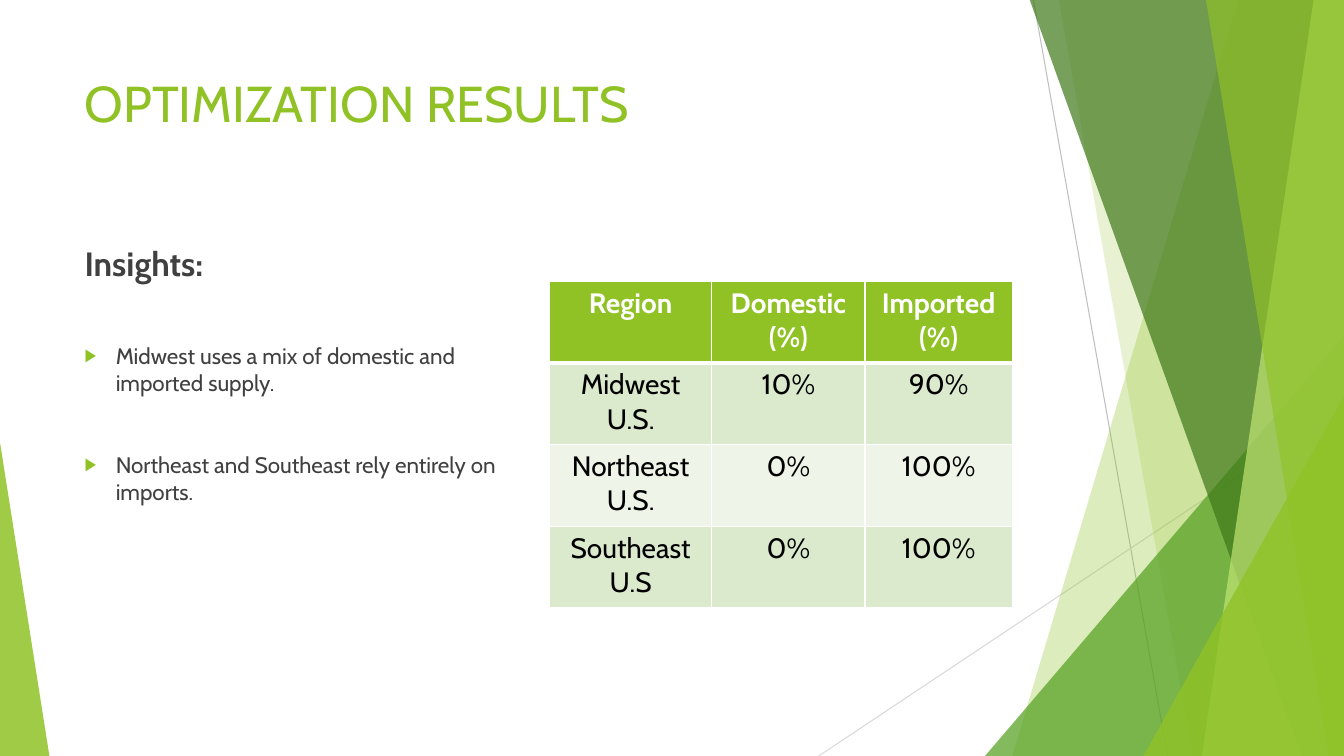
from lxml import etree
from pptx import Presentation
from pptx.dml.color import RGBColor
from pptx.enum import shapes as kinds, text as txt
from pptx.oxml.ns import qn
from pptx.util import Inches, Pt

LIME = RGBColor(0x90, 0xC2, 0x26)
GREEN = RGBColor(0x54, 0xA0, 0x21)
FOREST = RGBColor(0x3F, 0x78, 0x19)
PALE_LIME = RGBColor(0xC0, 0xE4, 0x74)
ROW_TINT = RGBColor(0xDB, 0xE9, 0xCD)
ROW_LIGHT = RGBColor(0xEE, 0xF4, 0xE8)
GREY = RGBColor(0xBF, 0xBF, 0xBF)
LIGHT_GREY = RGBColor(0xD9, 0xD9, 0xD9)
CHARCOAL = RGBColor(0x40, 0x40, 0x40)
WHITE = RGBColor(0xFF, 0xFF, 0xFF)
BLACK = RGBColor(0, 0, 0)

FONT = "Cabin"
WIDTH, HEIGHT = 13.33, 7.5
TOP = -0.01

RESULTS = [
    ("Region", "Domestic (%)", "Imported (%)"),
    ("Midwest U.S.", "10%", "90%"),
    ("Northeast U.S.", "0%", "100%"),
    ("Southeast U.S", "0%", "100%"),
]
COLUMN_WIDTHS = (1.61, 1.52, 1.46)
ROW_HEIGHT = 0.81


def sub(parent, tag, **attributes):
    return etree.SubElement(parent, qn(tag), attributes)


def paint(facet, color, opacity):
    facet.shadow.inherit = False
    facet.line.fill.background()
    facet.fill.solid()
    facet.fill.fore_color.rgb = color
    srgb = facet.fill._xPr.find(qn("a:solidFill"))[0]
    sub(srgb, "a:alpha", val=str(opacity * 1000))


def add_ray(slide, start, end, color):
    ray = slide.shapes.add_connector(
        kinds.MSO_CONNECTOR.STRAIGHT, *map(Inches, start + end))
    ray.line.color.rgb = color
    ray.line.width = Pt(0.75)
    sub(ray._element.spPr, "a:effectLst")


def add_band(slide, top_x, bottom_x, color, opacity):
    """Band from a slanted left side to the right slide edge."""
    corners = [(top_x, TOP), (WIDTH, TOP), (WIDTH, HEIGHT), (bottom_x, HEIGHT)]
    points = [(Inches(x), Inches(y)) for x, y in corners]
    builder = slide.shapes.build_freeform(*points[0])
    builder.add_line_segments(points[1:], close=True)
    paint(builder.convert_to_shape(), color, opacity)


def add_triangle(slide, left, top, width, apex, color, opacity):
    """Triangle that stands on the bottom slide edge."""
    triangle = slide.shapes.add_shape(
        kinds.MSO_SHAPE.ISOSCELES_TRIANGLE, Inches(left), Inches(top),
        Inches(width), Inches(HEIGHT - top))
    triangle.adjustments[0] = apex
    paint(triangle, color, opacity)


def style(paragraph, size, color, bold=False):
    for run in paragraph.runs:
        run.font.name = FONT
        run.font.size = Pt(size)
        run.font.bold = bold
        run.font.color.rgb = color


def add_text_frame(slide, left, top, width, height):
    frame = slide.shapes.add_textbox(
        *map(Inches, (left, top, width, height))).text_frame
    frame.word_wrap = True
    frame.vertical_anchor = txt.MSO_ANCHOR.TOP
    return frame


def add_bullet(paragraph):
    props = paragraph._p.get_or_add_pPr()
    props.set("marL", str(Inches(0.31)))
    props.set("indent", str(Inches(-0.31)))
    sub(sub(props, "a:buClr"), "a:srgbClr", val=str(LIME))
    sub(props, "a:buSzPct", val="80000")
    sub(props, "a:buFont", typeface="Arial")
    sub(props, "a:buChar", char="▶")


def add_insights(slide):
    insights = add_text_frame(slide, 0.74, 2.36, 4.33, 4.1)
    heading = insights.paragraphs[0]
    heading.text = "Insights:"
    heading.space_before = Pt(10)
    style(heading, 24, CHARCOAL, bold=True)
    for sentence, gap in (
            ("Midwest uses a mix of domestic and imported supply.", 42),
            ("Northeast and Southeast rely entirely on imports.", 39.5)):
        insight = insights.add_paragraph()
        insight.text = sentence
        insight.space_before = Pt(gap)
        add_bullet(insight)
        style(insight, 16, CHARCOAL)


def set_borders(cell, top, bottom):
    props = cell._tc.get_or_add_tcPr()
    widths = {"a:lnL": 1, "a:lnR": 1, "a:lnT": top, "a:lnB": bottom}
    for position, (tag, width) in enumerate(widths.items()):
        border = etree.Element(qn(tag), w=str(Pt(width)))
        sub(sub(border, "a:solidFill"), "a:srgbClr", val=str(WHITE))
        props.insert(position, border)


def add_results_table(slide):
    table = slide.shapes.add_table(
        len(RESULTS), len(COLUMN_WIDTHS), Inches(5.45), Inches(2.79),
        Inches(sum(COLUMN_WIDTHS)), Inches(ROW_HEIGHT * len(RESULTS))).table
    for column, width in zip(table.columns, COLUMN_WIDTHS):
        column.width = Inches(width)
    for r, values in enumerate(RESULTS):
        header = r == 0
        fill = LIME if header else ROW_TINT if r % 2 else ROW_LIGHT
        table.rows[r].height = Inches(ROW_HEIGHT)
        for c, value in enumerate(values):
            cell = table.cell(r, c)
            cell.margin_left = cell.margin_right = Inches(0.11)
            cell.fill.solid()
            cell.fill.fore_color.rgb = fill
            set_borders(cell, 3 if r == 1 else 1, 3 if header else 1)
            entry = cell.text_frame.paragraphs[0]
            entry.text = value
            entry.alignment = txt.PP_ALIGN.CENTER
            style(entry, 20, WHITE if header else BLACK, bold=header)


def add_backdrop(slide):
    add_ray(slide, (10.25, 0), (11.58, HEIGHT), GREY)
    add_ray(slide, (WIDTH, 4.03), (8.12, HEIGHT), LIGHT_GREY)
    add_band(slide, 12.28, 10.04, LIME, 30)
    add_band(slide, 10.5, 11.83, LIME, 20)
    add_triangle(slide, 9.77, 3.33, 3.56, 1, GREEN, 72)
    add_band(slide, 10.21, 12.91, FOREST, 70)
    add_band(slide, 13.03, 11.92, PALE_LIME, 70)
    add_band(slide, 11.96, 13.18, LIME, 65)
    add_triangle(slide, 11.34, 3.93, 1.99, 1, LIME, 80)
    add_triangle(slide, 0, 4.39, 0.49, 0, LIME, 85)


def main():
    deck = Presentation()
    deck.slide_width, deck.slide_height = Inches(WIDTH), Inches(HEIGHT)
    slide = deck.slides.add_slide(deck.slide_layouts[6])

    # Faceted green backdrop
    add_backdrop(slide)

    # Title
    title = add_text_frame(slide, 0.74, 0.67, 9.4, 1.44).paragraphs[0]
    title.text = "OPTIMIZATION RESULTS"
    style(title, 36, LIME)

    # Insights on the left, supply shares on the right
    add_insights(slide)
    add_results_table(slide)

    deck.save("out.pptx")


if __name__ == "__main__":
    main()
